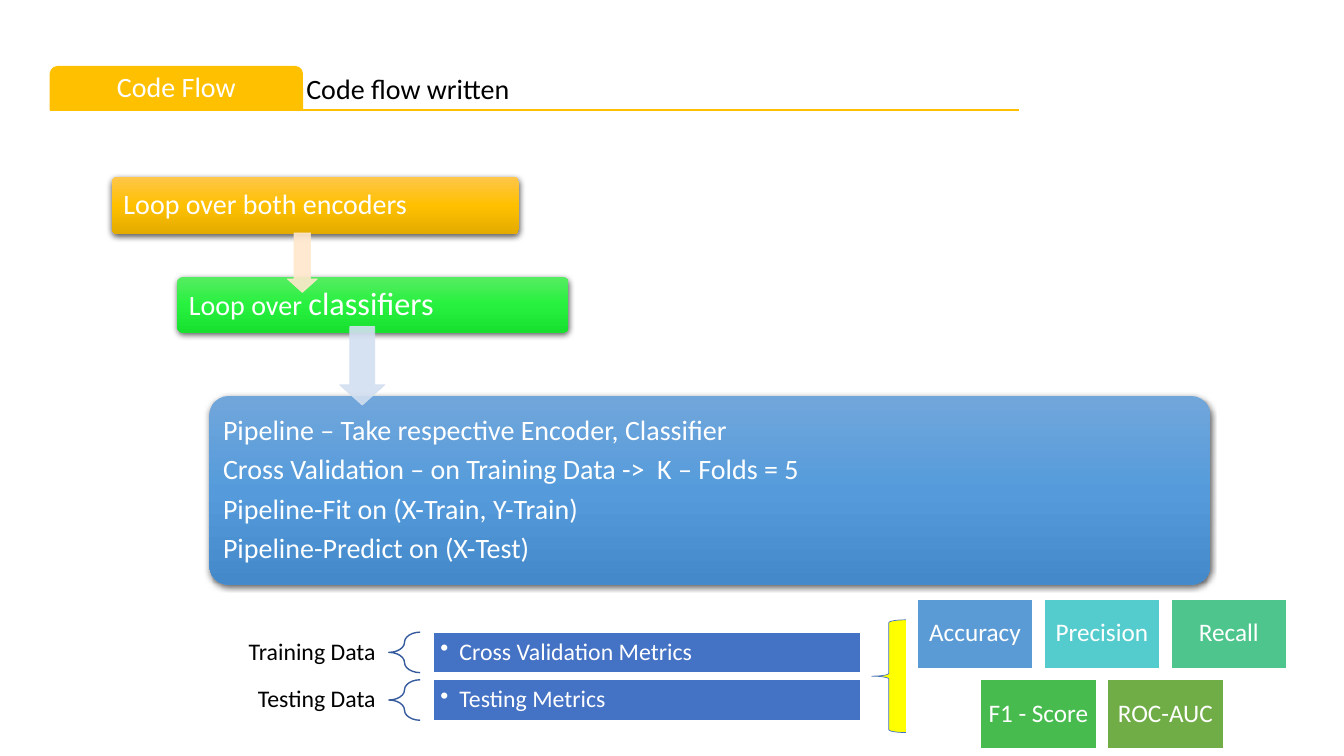
from dataclasses import dataclass

from pptx import Presentation
from pptx import util as u
from pptx.dml.color import RGBColor
from pptx.enum import shapes as s, text as t
from pptx.oxml import parse_xml
from pptx.oxml.ns import nsdecls, qn
from pptx.oxml.xmlchemy import OxmlElement


@dataclass(frozen=True)
class Theme:
    font: str = "Calibri"
    white: str = "FFFFFF"
    black: str = "000000"
    gold: str = "FFC000"
    green: tuple = ("56EC62", "27F13E", "18E02F")
    amber: tuple = ("FFC64B", "FFC000", "E3AB00")
    blue: tuple = ("71A6DB", "559BDB", "448ACA")
    cream: str = "FFE8CC"
    pale: str = "D2DFF0"
    navy: str = "365B9D"
    royal: str = "4472C4"
    yellow: str = "FFFF00"
    cards: tuple = ("5B9BD5", "54CCCD", "4DC58D", "48BB4F", "70AD47")
    large: float = 23
    main: float = 20
    card: float = 18
    small: float = 17


THEME = Theme()
KIND = s.MSO_SHAPE
LEFT, MID, RIGHT = t.PP_ALIGN.LEFT, t.PP_ALIGN.CENTER, t.PP_ALIGN.RIGHT


def place(item, box):
    item.left, item.top, item.width, item.height = map(u.Cm, box)


def style(run, size, color):
    run.font.name = THEME.font
    run.font.size = u.Pt(size)
    run.font.color.rgb = RGBColor.from_string(color)


def write(item, words, size, color=THEME.white, align=LEFT, pad=0.2,
          anchor=t.MSO_ANCHOR.MIDDLE, mark=None):
    """Fill an item with text; pad is the side inset, mark the bullet."""
    frame = item.text_frame
    frame.text = words
    frame.auto_size = t.MSO_AUTO_SIZE.NONE
    frame.word_wrap = True
    frame.vertical_anchor = anchor
    frame.margin_left = frame.margin_right = u.Cm(pad)
    frame.margin_top = frame.margin_bottom = u.Cm(0.1)
    for para in frame.paragraphs:
        props = para._p.get_or_add_pPr()
        dent = u.Cm(0.48) if mark else 0
        props.set("marL", str(dent))
        props.set("indent", str(-dent))
        if mark:
            sign = OxmlElement("a:buChar")
            sign.set("char", mark)
        else:
            sign = OxmlElement("a:buNone")
        props.append(sign)
        para.alignment = align
        para.line_spacing = 0.9
        para.space_before = u.Pt(0)
        para.space_after = u.Pt(round(size * 0.33, 1))
        for run in para.runs:
            style(run, size, color)


def shape(slide, kind, box, fill=None, line=None, width=1, adjust=()):
    item = slide.shapes.add_shape(kind, *map(u.Cm, box))
    item.shadow.inherit = False
    for i, value in enumerate(adjust):
        item.adjustments[i] = value
    if fill:
        item.fill.solid()
        item.fill.fore_color.rgb = RGBColor.from_string(fill)
    else:
        item.fill.background()
    if line:
        item.line.color.rgb = RGBColor.from_string(line)
        item.line.width = u.Pt(width)
    else:
        item.line.fill.background()
    return item


def panel(slide, box, tones):
    """Rounded box with a vertical gradient and a soft shadow."""
    item = shape(slide, KIND.ROUNDED_RECTANGLE, box, adjust=(0.1,))
    stops = "".join(
        f'<a:gs pos="{i * 50000}"><a:srgbClr val="{tone}"/></a:gs>'
        for i, tone in enumerate(tones))
    props = item.element.spPr
    props.replace(props.find(qn("a:noFill")), parse_xml(
        f'<a:gradFill {nsdecls("a")} rotWithShape="1"><a:gsLst>{stops}</a:gsLst>'
        '<a:lin ang="5400000" scaled="0"/></a:gradFill>'))
    props.find(qn("a:effectLst")).append(parse_xml(
        f'<a:outerShdw {nsdecls("a")} blurRad="{u.Pt(4.5)}" dist="{u.Pt(1.5)}" '
        'dir="5400000" algn="ctr" rotWithShape="0"><a:srgbClr val="000000">'
        '<a:alpha val="63000"/></a:srgbClr></a:outerShdw>'))
    return item


def arrow(slide, box, color):
    item = shape(slide, KIND.DOWN_ARROW, box, color, color, 0.5, (0.45, 0.55))
    item.adjustments[0], item.adjustments[1] = 0.55, 0.45
    for tint in item.element.spPr.iter(qn("a:srgbClr")):
        alpha = OxmlElement("a:alpha")
        alpha.set("val", "90000")
        tint.append(alpha)


def head(slide):
    rule = slide.shapes.add_connector(
        s.MSO_CONNECTOR.STRAIGHT, u.Cm(1.27), u.Cm(2.77), u.Cm(25.68), u.Cm(2.77))
    rule.line.color.rgb = RGBColor.from_string(THEME.gold)
    rule.line.width = u.Pt(1)
    rule.element.spPr.append(OxmlElement("a:effectLst"))
    note = slide.shapes.add_textbox(*map(u.Cm, (7.62, 1.68, 18.06, 1.09)))
    write(note, "Code flow written", THEME.main, THEME.black, pad=0.1,
          anchor=t.MSO_ANCHOR.BOTTOM)
    tab = (1.27, 1.68, 6.35, 1.09)
    shape(slide, KIND.ROUND_2_SAME_RECTANGLE, tab, THEME.gold, THEME.gold,
          adjust=(0.167, 0))
    title = slide.shapes.title
    place(title, tab)
    write(title, "Code Flow", THEME.main, align=MID, pad=0.1)
    slide.shapes.element.append(title.element)  # bring in front of the tab


def steps(slide):
    outer = panel(slide, (2.82, 4.45, 10.26, 1.45), THEME.amber)
    write(outer, "Loop over both encoders", THEME.main, pad=0.25)
    inner = panel(slide, (4.47, 6.98, 9.86, 1.4), THEME.green)
    write(inner, "Loop over ", THEME.main, pad=0.25)
    run = inner.text_frame.paragraphs[0].add_run()
    run.text = "classifiers"
    style(run, THEME.large, THEME.white)

    box = (5.28, 9.98, 25.22, 4.75)
    panel(slide, box, THEME.blue)
    body = slide.placeholders[1]
    place(body, box)
    write(body, "\n".join((
        "Pipeline – Take respective Encoder, Classifier",
        "Cross Validation – on Training Data ->  K – Folds = 5",
        "Pipeline-Fit on (X-Train, Y-Train)",
        "Pipeline-Predict on (X-Test)")), THEME.main, pad=0.34)
    slide.shapes.element.append(body.element)  # bring in front of the panel

    arrow(slide, (7.24, 5.87, 0.76, 1.5), THEME.cream)
    arrow(slide, (8.56, 8.23, 1.14, 1.98), THEME.pale)


def cards(slide):
    names = ("Accuracy", "Precision", "Recall", "F1 - Score", "ROC-AUC")
    for i, (name, color) in enumerate(zip(names, THEME.cards)):
        row, col = divmod(i, 3)
        box = (23.11 + 3.2 * col + 1.6 * row, 15.09 + 2.03 * row, 2.92, 1.75)
        card = shape(slide, KIND.RECTANGLE, box, color, THEME.white)
        write(card, name, THEME.card, align=MID, pad=0.1)


def rows(slide):
    pairs = (("Training Data", "Cross Validation Metrics"),
             ("Testing Data", "Testing Metrics"))
    for i, (data, metric) in enumerate(pairs):
        top, high = 15.93 + 1.2 * i, 1.02
        label = slide.shapes.add_textbox(*map(u.Cm, (5.84, top, 3.96, high)))
        write(label, data, THEME.small, THEME.black, RIGHT, 0.33)
        shape(slide, KIND.LEFT_BRACE, (9.8, top, 0.79, high), line=THEME.navy,
              adjust=(0.35, 0.5))
        bar = shape(slide, KIND.RECTANGLE, (10.92, top, 10.77, high),
                    THEME.royal, THEME.white)
        write(bar, metric, THEME.small, pad=0.18, mark="•")


def main():
    deck = Presentation()
    deck.slide_width, deck.slide_height = u.Cm(33.87), u.Cm(19.05)
    slide = deck.slides.add_slide(deck.slide_layouts[1])
    steps(slide)
    cards(slide)
    head(slide)
    rows(slide)
    shape(slide, KIND.LEFT_BRACE, (21.97, 15.62, 0.86, 2.84), THEME.yellow,
          THEME.royal, 0.5)
    deck.save("out.pptx")


if __name__ == "__main__":
    main()
